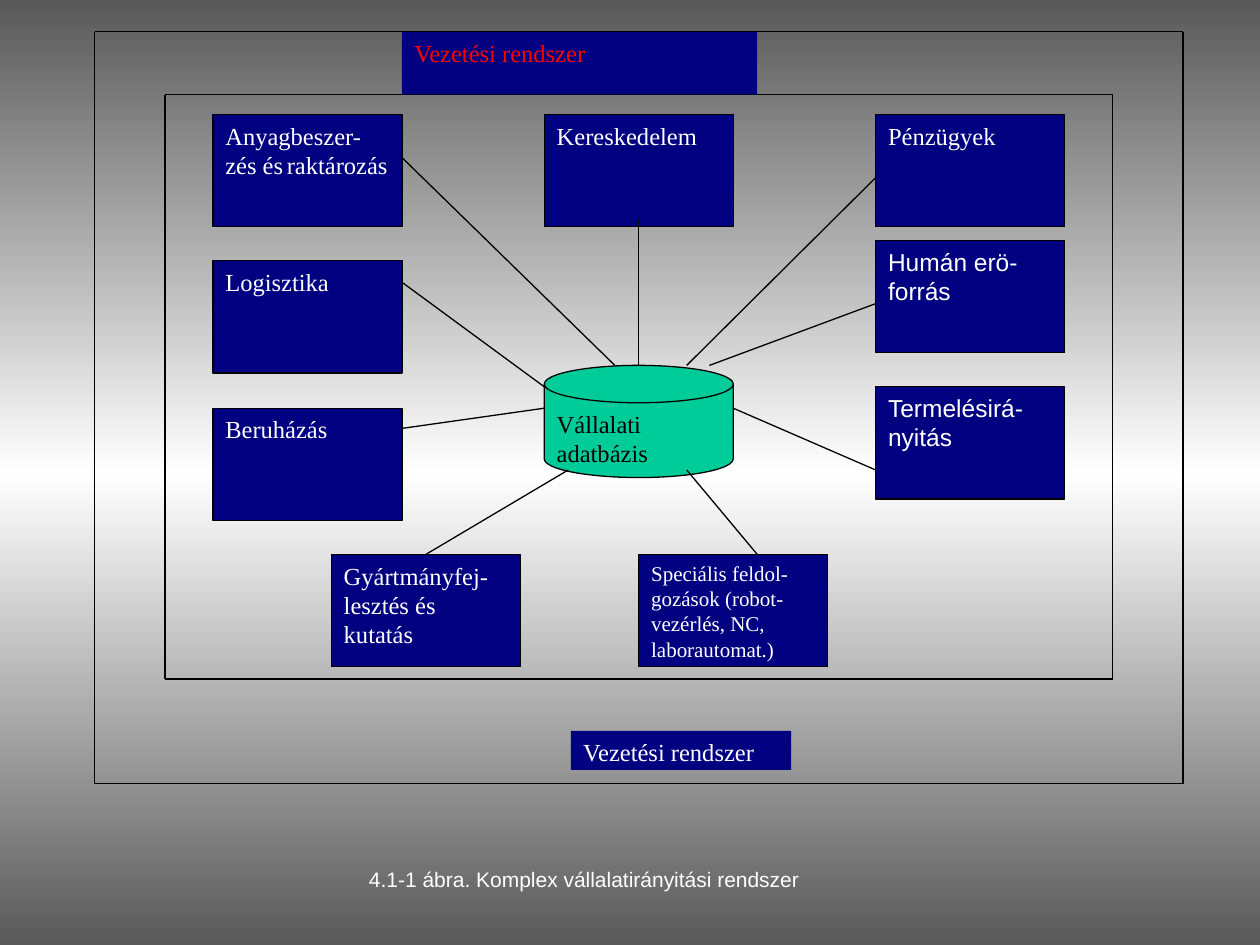
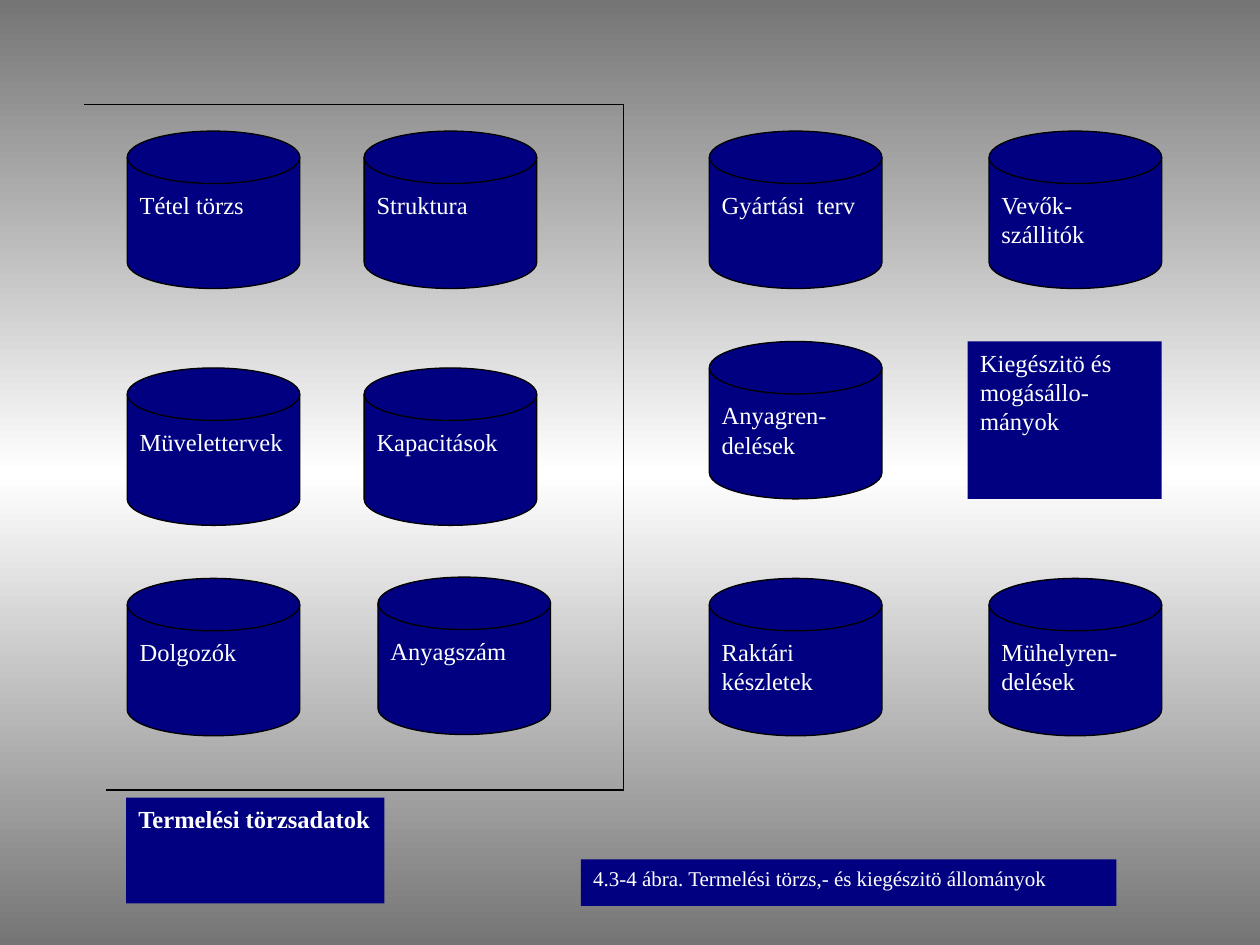
"""Build two slides on a company management system and its production data files."""
import copy
from dataclasses import dataclass

import pptx
import pptx.dml.color
import pptx.enum.shapes
import pptx.enum.text
import pptx.oxml.ns
import pptx.util
from lxml import etree

Inches = pptx.util.Inches
Shape = pptx.enum.shapes.MSO_SHAPE


@dataclass(frozen=True)
class Theme:
    navy: str = "000080"
    green: str = "00CC99"
    black: str = "000000"
    white: str = "FFFFFF"
    red: str = "FF0000"
    dark: str = "595959"
    gray: str = "757575"
    serif: str = "Times New Roman"
    sans: str = "Arial"
    body: float = 14
    small: float = 12
    tiny: float = 8
    rule: float = 0.75


T = Theme()

UNIT = (1.5, 0.89)
LEFT, MID, RIGHT = (1.69 + 2.63 * col for col in range(3))
INNER = LEFT + UNIT[0]
HUB = (MID, 2.9, *UNIT)
HUB_END = MID + UNIT[0]
UNITS = [
    (LEFT, 0.91, ["Anyagbeszer-zés és", " ", "raktározás"], {}),
    (LEFT, 2.07, ["Logisztika"], {}),
    (LEFT, 3.24, ["Beruházás"], {}),
    (MID, 0.91, ["Kereskedelem"], {}),
    (RIGHT, 0.91, ["Pénzügyek"], {}),
    (RIGHT, 1.91, ["Humán erö-forrás"], {"face": T.sans}),
    (RIGHT, 3.07, ["Termelésirá-nyitás"], {"face": T.sans}),
    (2.63, 4.4, ["Gyártmányfej- lesztés és kutatás"], {}),
    (5.07, 4.4, ["Speciális feldol- gozások (robot-vezérlés, NC, laborautomat.)"],
     {"size": T.small}),
]
SPOKES = [
    (INNER, 3.4, MID, 3.24), (INNER, 2.24, MID, 3.07), (INNER, 1.25, 4.88, 2.9),
    (5.07, 1.74, 5.07, 2.9), (RIGHT, 1.41, 5.45, 2.9), (RIGHT, 2.41, 5.63, 2.9),
    (RIGHT, 3.73, HUB_END, 3.24), (4.51, 3.73, 3.38, 4.4), (5.45, 3.73, 6.01, 4.4),
]
OUTER_FRAME = (0.75, 0.25, 9.39, 6.22)
INNER_FRAME = (1.31, 0.75, 8.83, 5.39)
SYSTEM = "Vezetési rendszer"
FIGURE = "4.1-1 ábra. Komplex vállalatirányitási rendszer"

DISK = (1.37, 1.25)
FILES = [
    (1.01, 1.04, "Tétel törzs"), (2.89, 1.04, "Struktura"),
    (1.01, 2.92, "Müvelettervek"), (2.89, 2.92, "Kapacitások"),
    (1.01, 4.59, "Dolgozók"), (3, 4.58, "Anyagszám"),
    (5.63, 1.04, "Gyártási  terv"), (7.85, 1.04, "Vevők-\nszállitók"),
    (5.63, 2.71, "Anyagren- delések"),
    (5.63, 4.59, "Raktári készletek"), (7.85, 4.59, "Mühelyren- delések"),
]
BORDER = [(0.67, 0.83, 4.95, 0.83), (4.95, 0.83, 4.95, 6.27), (0.84, 6.27, 4.95, 6.27)]
LABELS = [
    ((1, 6.33, 2.05, 0.84), "Termelési törzsadatok", {"bold": True}),
    ((7.68, 2.71, 1.54, 1.25), "Kiegészitö és mogásállo- mányok", {}),
    ((4.61, 6.82, 4.25, 0.37), "4.3-4 ábra. Termelési törzs,- és kiegészitö állományok",
     {"size": T.small}),
]


def rgb(code):
    return pptx.dml.color.RGBColor.from_string(code)


def new_slide(deck, edge):
    slide = deck.slides.add_slide(deck.slide_layouts[6])
    fill = slide.background.fill
    fill.gradient()
    fill.gradient_angle = 90
    first = slide.element.xpath(".//a:gs")[0]
    first.addnext(copy.deepcopy(first))
    for stop, place, tint in zip(fill.gradient_stops, (0, 0.5, 1), (edge, T.white, edge)):
        stop.position = place
        stop.color.rgb = rgb(tint)
    return slide


def write(shape, parts, ink=T.white, size=T.body, face=T.serif, bold=False):
    frame = shape.text_frame
    frame.word_wrap = True
    frame.vertical_anchor = pptx.enum.text.MSO_ANCHOR.TOP
    frame.text = parts[0]
    for part in parts[1:]:
        frame.paragraphs[0].add_run().text = part
    for para in frame.paragraphs:
        para.alignment = pptx.enum.text.PP_ALIGN.LEFT
        for run in para.runs:
            font = run.font
            font.name, font.bold = face, bold
            font.size = pptx.util.Pt(size if run.text.strip() else T.tiny)
            font.color.rgb = rgb(ink)


def add_box(slide, kind, place, parts, fill=T.navy, **style):
    box = slide.shapes.add_shape(kind, *map(Inches, place))
    box.shadow.inherit = False
    box.fill.solid()
    box.fill.fore_color.rgb = rgb(fill)
    if kind == Shape.RECTANGLE:
        box.line.fill.background()
    else:
        box.line.color.rgb = rgb(T.black)
        box.line.width = pptx.util.Pt(T.rule)
    write(box, parts, **style)


def add_line(slide, ends):
    line = slide.shapes.add_connector(
        pptx.enum.shapes.MSO_CONNECTOR.STRAIGHT, *map(Inches, ends))
    line.line.color.rgb = rgb(T.black)
    line.line.width = pptx.util.Pt(T.rule)
    etree.SubElement(line.element.spPr, pptx.oxml.ns.qn("a:effectLst"))


def add_frame(slide, left, top, right, base):
    for ends in ((left, top, right, top), (right, top, right, base),
                 (left, top, left, base), (left, base, right, base)):
        add_line(slide, ends)


def draw_system(deck):
    slide = new_slide(deck, T.dark)
    add_box(slide, Shape.FLOWCHART_MAGNETIC_DISK, HUB, ["Vállalati adatbázis"],
            fill=T.green, ink=T.black)
    for left, top, parts, style in UNITS:
        add_box(slide, Shape.FLOWCHART_PROCESS, (left, top, *UNIT), parts, **style)
    for ends in SPOKES:
        add_line(slide, ends)
    add_frame(slide, *INNER_FRAME)
    add_box(slide, Shape.RECTANGLE, (INNER, 0.25, 2.82, 0.5), [SYSTEM], ink=T.red)
    add_box(slide, Shape.RECTANGLE, (4.53, 5.8, 1.75, 0.31), [SYSTEM])
    add_frame(slide, *OUTER_FRAME)
    note = slide.shapes.add_textbox(*map(Inches, (2.83, 6.83, 4.25, 0.3)))
    write(note, [FIGURE], size=T.small, face=T.sans)


def draw_files(deck):
    slide = new_slide(deck, T.gray)
    for left, top, name in FILES:
        add_box(slide, Shape.FLOWCHART_MAGNETIC_DISK, (left, top, *DISK), [name])
    for ends in BORDER:
        add_line(slide, ends)
    for place, text, style in LABELS:
        add_box(slide, Shape.RECTANGLE, place, [text], **style)


def main():
    deck = pptx.Presentation()
    deck.slide_width, deck.slide_height = Inches(10), Inches(7.5)
    draw_system(deck)
    draw_files(deck)
    deck.save("out.pptx")


if __name__ == "__main__":
    main()
